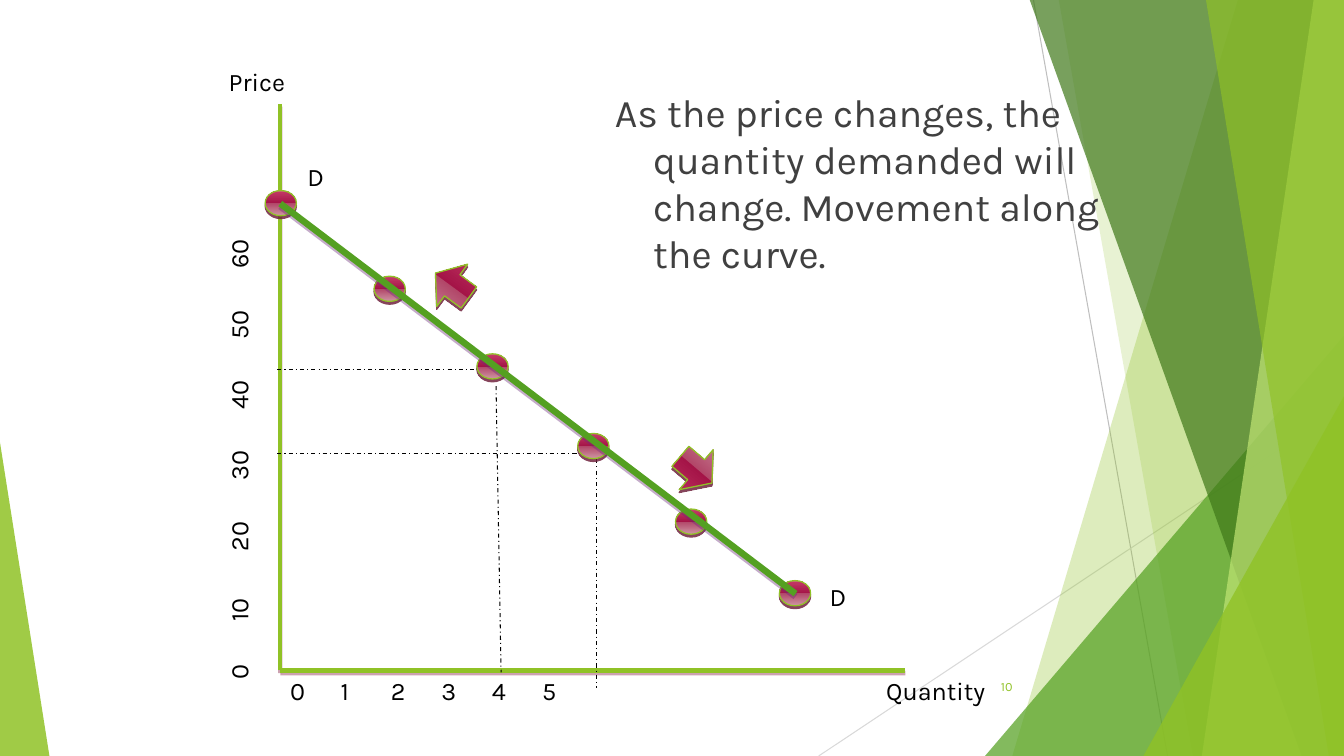
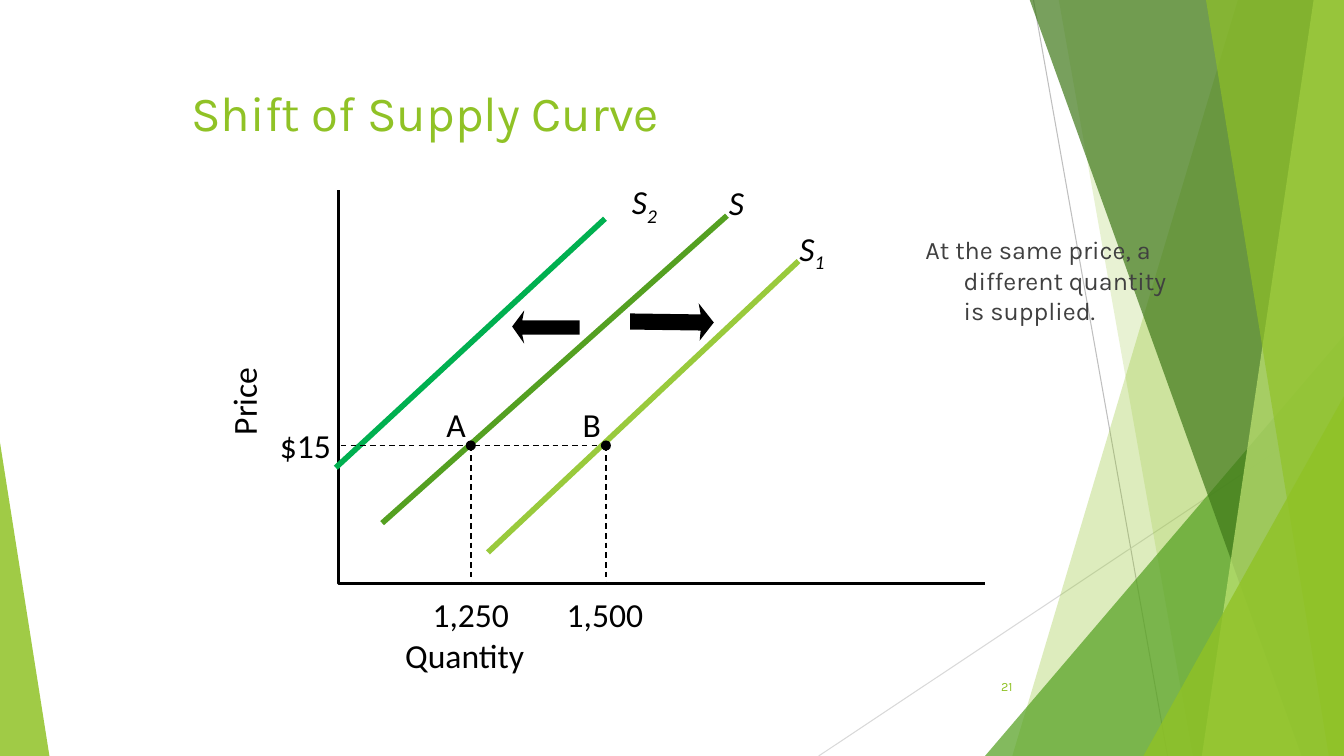
from lxml.etree import SubElement
from pptx import Presentation
from pptx.dml.color import RGBColor
from pptx.enum.dml import MSO_LINE
from pptx.enum.shapes import MSO_CONNECTOR, MSO_SHAPE
from pptx.enum.text import MSO_ANCHOR, PP_ALIGN
from pptx.oxml.ns import qn
from pptx.util import Inches, Pt

LINE = MSO_CONNECTOR.STRAIGHT
OVAL, ARROW, TRI = MSO_SHAPE.OVAL, MSO_SHAPE.RIGHT_ARROW, MSO_SHAPE.ISOSCELES_TRIANGLE
DASH, DOT = MSO_LINE.DASH, MSO_LINE.DASH_DOT
CENTER, RIGHT = PP_ALIGN.CENTER, PP_ALIGN.RIGHT
MIDDLE = MSO_ANCHOR.MIDDLE

HEX = {
    "black": "000000", "text": "404040", "gray": "BFBFBF", "pale": "D9D9D9",
    "lime": "90C226", "green": "54A021", "dark": "3F7819", "light": "C0E474",
    "leaf": "99CA3C", "jade": "00B050", "wine": "7D0D34", "plum": "6B2B79",
    "rose": "6F213C",
}
GLOSS = [(0, "CE94A2"), (49, "B24769"), (49, "A41447"), (92, "C03663"), (100, "CA5C7B")]
STYLES = {
    "title": ({"name": "Karla", "size": Pt(35)}, "lime"),
    "body": ({"name": "Karla", "size": Pt(28)}, "text"),
    "note": ({"name": "Karla", "size": Pt(18)}, "text"),
    "page": ({"name": "Karla", "size": Pt(9)}, "lime"),
    "axis": ({"name": "Karla", "size": Pt(18)}, "black"),
    "label": ({"name": "Calibri", "size": Pt(24)}, "black"),
    "curve": ({"name": "Calibri", "size": Pt(24), "italic": True}, "black"),
}


def rgb(name):
    """Return a named colour."""
    return RGBColor.from_string(HEX[name])


def shade(shape, color=None, alpha=0):
    """Replace the theme shadow by a hard drop shadow or by none."""
    effect = SubElement(shape._element.spPr, qn("a:effectLst"))
    if color:
        drop = SubElement(effect, qn("a:outerShdw"), blurRad="0", dist=str(Pt(2)),
                          dir="5400000", algn="ctr", rotWithShape="0")
        tint = SubElement(drop, qn("a:srgbClr"), val=HEX[color])
        SubElement(tint, qn("a:alpha"), val=str(alpha * 1000))


def line(slide, start, end, color, width, dash=None, drop=None):
    """Draw a straight line between two points."""
    item = slide.shapes.add_connector(LINE, *map(Inches, start + end))
    item.line.color.rgb = rgb(color)
    item.line.width = Pt(width)
    if dash:
        item.line.dash_style = dash
    shade(item, *([drop, 38] if drop else []))


def paint(shape, color, alpha=100):
    """Fill a shape flat, without outline or shadow."""
    shape.fill.solid()
    shape.fill.fore_color.rgb = rgb(color)
    tint = shape._element.spPr.find(qn("a:solidFill"))[0]
    SubElement(tint, qn("a:alpha"), val=str(alpha * 1000))
    shape.line.fill.background()
    shade(shape)


def trace(slide, points, close=True):
    """Build an outline through points."""
    spots = [tuple(map(Inches, point)) for point in points]
    pen = slide.shapes.build_freeform(*spots[0])
    pen.add_line_segments(spots[1:], close=close)
    return pen.convert_to_shape()


def wedge(slide, box, peak, color, alpha):
    """Draw a see-through triangle with its peak at one side."""
    item = slide.shapes.add_shape(TRI, *map(Inches, box))
    item.adjustments[0] = peak
    paint(item, color, alpha)


def blade(slide, top, base, color, alpha, right=13.33):
    """Draw a band from the right edge to a slanted side."""
    points = [(top, -0.01), (right, -0.01), (right, 7.5), (base, 7.5)]
    paint(trace(slide, points), color, alpha)


def gloss(slide, kind, box, turn=0):
    """Draw a glossy red marker, upside down unless turned."""
    item = slide.shapes.add_shape(kind, *map(Inches, box))
    item.rotation = turn
    props = item._element.spPr
    if not turn:
        props.xfrm.set("flipV", "1")
    grad = SubElement(props, qn("a:gradFill"), rotWithShape="1")
    stops = SubElement(grad, qn("a:gsLst"))
    for place, color in GLOSS:
        stop = SubElement(stops, qn("a:gs"), pos=str(place * 1000))
        SubElement(stop, qn("a:srgbClr"), val=color)
    SubElement(grad, qn("a:lin"), ang="5400000", scaled="0")
    item.line.color.rgb = rgb("lime")
    item.line.width = Pt(0.9)
    shade(item, "rose", 83)


def text(slide, box, words, style, wrap=False, align=None, turn=0, tabs=(),
         hang=0, sub="", anchor=None):
    """Write one paragraph in a named style."""
    item = slide.shapes.add_textbox(*map(Inches, box))
    item.rotation = turn
    frame = item.text_frame
    frame.word_wrap = wrap
    if anchor is not None:
        frame.vertical_anchor = anchor
    para = frame.paragraphs[0]
    if align is not None:
        para.alignment = align
    props = para._p.get_or_add_pPr()
    if hang:
        props.set("marL", str(Inches(hang)))
        props.set("indent", str(Inches(-hang)))
    if tabs:
        stops = SubElement(props, qn("a:tabLst"))
        for tab in tabs:
            SubElement(stops, qn("a:tab"), pos=str(Inches(tab)), algn="l")
    form, color = STYLES[style]
    for part in filter(None, (words, sub)):
        run = para.add_run()
        run.text = part
        for key, value in form.items():
            setattr(run.font, key, value)
        run.font.color.rgb = rgb(color)
    if sub:
        run._r.get_or_add_rPr().set("baseline", "-25000")


def base(deck, page):
    """Add a slide with the shared backdrop and page number."""
    slide = deck.slides.add_slide(deck.slide_layouts[6])
    line(slide, (10.25, 0), (11.58, 7.5), "gray", 0.75)
    line(slide, (13.33, 4.03), (8.12, 7.5), "pale", 0.75)
    blade(slide, 12.28, 10.04, "lime", 30)
    blade(slide, 10.5, 11.83, "lime", 20)
    wedge(slide, (9.77, 3.33, 3.56, 4.17), 1, "green", 72)
    blade(slide, 10.21, 12.91, "dark", 70)
    blade(slide, 13.03, 11.92, "light", 70)
    blade(slide, 11.96, 13.18, "lime", 65)
    wedge(slide, (11.34, 3.93, 1.99, 3.57), 1, "lime", 80)
    wedge(slide, (0, 4.39, 0.49, 3.11), 0, "lime", 85)
    text(slide, (9.39, 6.61, 0.75, 0.4), page, "page", True, RIGHT, anchor=MIDDLE)
    return slide


def demand(deck):
    """Show movement along a demand curve."""
    slide = base(deck, "10")
    zero = (2.78, 6.65)
    for start, end in [((2.78, 1.03), zero), (zero, (8.98, 6.65))]:
        line(slide, start, end, "lime", 3.15, drop="wine")
    text(slide, (2.78, 6.65, 7.3, 0.4), "\t".join(map(str, range(6))), "axis", True,
         tabs=[0.5 * n for n in range(1, 6)])
    text(slide, (-0.53, 3.73, 5.8, 0.41), "\t".join(map(str, range(0, 70, 10))),
         "axis", True, turn=270, tabs=[0.57 + 0.7 * n for n in range(6)])
    text(slide, (6, 0.83, 5.06, 4.27), "As the price changes, the quantity demanded "
         "will change. Movement along the curve.", "body", True, hang=0.38)
    for left, top, width, words in [(2.17, 0.61, 0.77, "Price"), (8.69, 6.65, 1.39, "Quantity"),
                                    (2.95, 1.55, 0.36, "D"), (8.13, 5.72, 0.36, "D")]:
        text(slide, (left, top, width, 0.4), words, "axis", width > 0.5)
    for start, end in [((2.75, 3.67), (5, 3.67)), ((2.75, 4.5), (5.75, 4.5)),
                       ((4.92, 3.83), (4.97, 6.67)), ((5.92, 4.33), (5.92, 6.83))]:
        line(slide, start, end, "black", 0.75, DOT)
    for left, top in [(2.63, 1.89), (3.71, 2.74), (4.73, 3.51), (5.73, 4.3),
                      (6.7, 5.05), (7.73, 5.76)]:
        gloss(slide, OVAL, (left, top, 0.31, 0.25))
    line(slide, (2.78, 2.02), (7.89, 5.89), "green", 4.65, drop="plum")
    for left, top, turn in [(4.28, 2.57, 216.2), (6.7, 4.4, 40.3)]:
        gloss(slide, ARROW, (left, top, 0.41, 0.52), turn)


def supply(deck):
    """Show a supply curve shifting both ways."""
    slide = base(deck, "21")
    text(slide, (1.8, 0.77, 6.96, 0.69), "Shift of Supply Curve", "title", True)
    axes = trace(slide, [(3.36, 1.89), (3.36, 5.79), (9.77, 5.79)], False)
    axes.fill.background()
    axes.line.color.rgb = rgb("black")
    axes.line.width = Pt(2)
    shade(axes)
    for start, end, color in [((7.21, 2.14), (3.79, 5.19), "green"),
                              ((7.92, 2.59), (4.84, 5.48), "leaf"),
                              ((6, 2.17), (3.33, 4.64), "jade")]:
        line(slide, start, end, color, 4)
    for left, top, width, sub in [(7.13, 1.76, 0.35, ""), (7.83, 2.21, 0.47, "1"),
                                  (6.17, 1.75, 0.47, "2")]:
        text(slide, (left, top, width, 0.5), "S", "curve", sub=sub)
    level = 4.42
    for start, spot in [(3.38, 4.67), (4.71, 6.01)]:
        line(slide, (start, level), (spot, level), "black", 1, DASH)
        line(slide, (spot, level), (spot, 5.78), "black", 1, DASH)
        dot = slide.shapes.add_shape(OVAL, *map(Inches, (spot - 0.05, level - 0.05, 0.1, 0.1)))
        paint(dot, "black")
    for left, top, width, words, align, turn in [
            (1.94, 3.69, 0.95, "Price", None, 270), (3.92, 6.25, 1.39, "Quantity", None, 0),
            (2.67, 4.17, 0.71, "$15", RIGHT, 0), (4.33, 3.96, 0.39, "A", None, 0),
            (5.68, 3.96, 0.38, "B", None, 0), (4.19, 5.84, 0.96, "1,250", CENTER, 0),
            (5.52, 5.84, 0.96, "1,500", CENTER, 0)]:
        text(slide, (left, top, width, 0.5), words, "label", align=align, turn=turn)
    for points in [
            [(6.93, 3.01), (7.08, 3.2), (6.94, 3.38), (6.95, 3.28), (6.25, 3.27),
             (6.25, 3.11), (6.95, 3.12)],
            [(5.2, 3.41), (5.08, 3.24), (5.2, 3.08), (5.18, 3.18), (5.75, 3.18),
             (5.75, 3.32), (5.18, 3.32)]]:
        paint(trace(slide, points), "black")
    text(slide, (9.08, 2.28, 2.83, 2.83), "At the same price, a different quantity is supplied.",
         "note", True, hang=0.38)


def main():
    """Build and save both slides."""
    deck = Presentation()
    deck.slide_width, deck.slide_height = Inches(13.33), Inches(7.5)
    demand(deck)
    supply(deck)
    deck.save("out.pptx")


if __name__ == "__main__":
    main()
